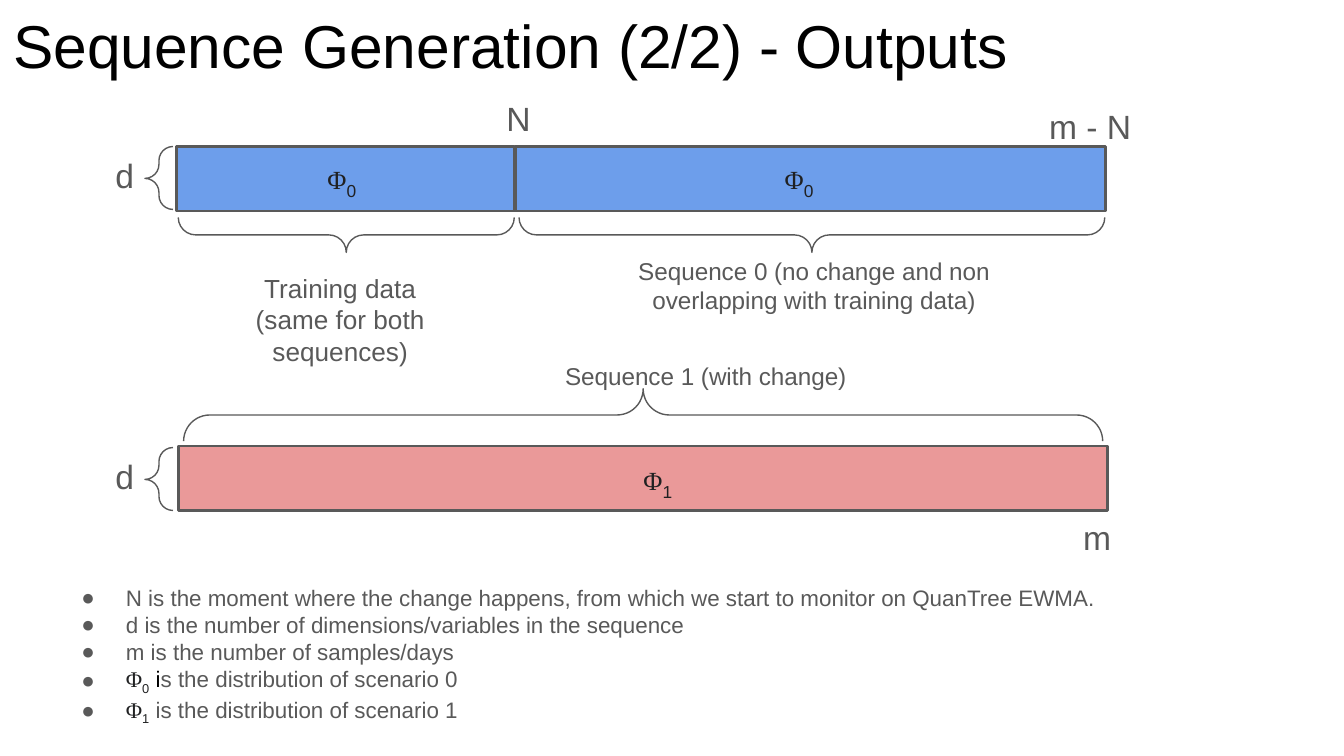
import pptx
import pptx.util
import pptx.dml.color
import pptx.enum.shapes
import pptx.enum.text
import pptx.oxml.ns
import lxml.etree

Cm = pptx.util.Cm
Pt = pptx.util.Pt
RGB = pptx.dml.color.RGBColor.from_string
Form = pptx.enum.shapes.MSO_SHAPE
Align = pptx.enum.text.PP_ALIGN
Anchor = pptx.enum.text.MSO_ANCHOR


class Theme:
    ink = "000000"
    gray = "595959"
    dark = "202122"
    blue = "6D9EEB"
    red = "EA9999"
    sans = "Arial"
    serif = "Times New Roman"
    title = 32.4
    label = 18
    sub = 16
    body = 14
    note = 13
    list = 12


class Deck:
    def __init__(self, theme):
        self.theme = theme
        self.file = pptx.Presentation()
        self.file.slide_width = Cm(25.4)
        self.file.slide_height = Cm(14.29)
        self.slide = self.file.slides.add_slide(self.file.slide_layouts[6])

    def put(self, item, values):
        for name, value in values.items():
            setattr(item, name, value)

    def run(self, para, text, size, color=None, font=None, low=False):
        run = para.add_run()
        run.text = text
        self.put(run.font, {"size": Pt(size), "name": font or self.theme.sans})
        run.font.color.rgb = RGB(color or self.theme.gray)
        if low:
            run._r.get_or_add_rPr().set("baseline", "-25000")

    def phi(self, para, digit, size, low):
        self.run(para, "Φ", size, self.theme.dark, self.theme.serif)
        self.run(para, digit, low, self.theme.dark, low=True)

    def frame(self, box, anchor=Anchor.TOP):
        frame = self.slide.shapes.add_textbox(*map(Cm, box)).text_frame
        pad = Cm(0.25)
        self.put(frame, {
            "word_wrap": True, "vertical_anchor": anchor,
            "margin_left": pad, "margin_right": pad,
            "margin_top": pad, "margin_bottom": pad,
        })
        return frame

    def text(self, box, lines, size, color=None, align=Align.LEFT, anchor=Anchor.TOP):
        frame = self.frame(box, anchor)
        for i, line in enumerate(lines):
            para = frame.add_paragraph() if i else frame.paragraphs[0]
            para.alignment = align
            self.run(para, line, size, color)

    def sign(self, left, top, digit):
        frame = self.frame((left, top, 1.17, 1.19))
        self.phi(frame.paragraphs[0], digit, self.theme.body, self.theme.sub)

    def shape(self, form, box, width):
        shape = self.slide.shapes.add_shape(form, *map(Cm, box))
        shape.shadow.inherit = False
        shape.line.color.rgb = RGB(self.theme.gray)
        shape.line.width = Pt(width)
        return shape

    def bar(self, box, color):
        shape = self.shape(Form.RECTANGLE, box, 1.5)
        shape.fill.solid()
        shape.fill.fore_color.rgb = RGB(color)

    def brace(self, box, turn=0, point=0.5):
        left, top, wide, high = box
        if turn:
            shift = (wide - high) / 2
            box = left + shift, top - shift, high, wide
        shape = self.shape(Form.LEFT_BRACE, box, 0.75)
        shape.fill.background()
        shape.rotation = turn
        shape.adjustments[0] = 0.5
        shape.adjustments[1] = point

    def bullet(self, para):
        props = para._p.get_or_add_pPr()
        props.set("marL", str(Cm(1.27)))
        props.set("indent", str(Cm(-0.84)))
        qn = pptx.oxml.ns.qn
        tint = lxml.etree.SubElement(props, qn("a:buClr"))
        lxml.etree.SubElement(tint, qn("a:srgbClr")).set("val", self.theme.gray)
        lxml.etree.SubElement(props, qn("a:buFont")).set("typeface", self.theme.sans)
        lxml.etree.SubElement(props, qn("a:buChar")).set("char", "●")

    def list(self, box, rows):
        frame = self.frame(box)
        size = self.theme.list
        for i, (digit, parts) in enumerate(rows):
            para = frame.add_paragraph() if i else frame.paragraphs[0]
            self.bullet(para)
            if digit:
                self.phi(para, digit, size, size)
            for text, color in parts:
                self.run(para, text, size, color)


def main():
    theme = Theme()
    deck = Deck(theme)
    gray = theme.gray
    deck.text((0, 0, 25.3, 1.78), ["Sequence Generation (2/2) - Outputs"],
              theme.title, theme.ink, anchor=Anchor.BOTTOM)

    deck.bar((3.33, 2.77, 6.4, 1.22), theme.blue)
    deck.bar((9.75, 2.77, 11.15, 1.22), theme.blue)
    deck.bar((3.38, 8.43, 17.55, 1.22), theme.red)

    for left, top, wide, text in [
        (9.32, 1.6, 1.02, "N"),
        (20.22, 9.53, 3.2, "m"),
        (19.58, 1.75, 2.69, "m - N"),
    ]:
        deck.text((left, top, wide, 0.56), [text], theme.label)

    for left, top, digit in [(5.94, 2.77, "0"), (14.58, 2.77, "0"), (11.91, 8.46, "1")]:
        deck.sign(left, top, digit)

    deck.brace((3.37, 4.11, 6.35, 0.66), 270)
    deck.brace((9.81, 4.11, 11.07, 0.66), 270)
    deck.brace((3.47, 7.35, 17.37, 0.99), 90)

    for box, lines, size in [
        ((3.38, 4.9, 6.1, 2.64), ["Training data", "(same for both sequences)"], theme.body),
        ((11.61, 4.6, 7.54, 1.19),
         ["Sequence 0 (no change and non overlapping with training data)"], theme.note),
        ((9.32, 6.58, 8.03, 0.99), ["Sequence 1 (with change)"], theme.note),
    ]:
        deck.text(box, lines, size, align=Align.CENTER)

    deck.list((0.86, 10.8, 24.43, 2.36), [
        ("", [("N is the moment where the change happens, from which we start "
               "to monitor on QuanTree EWMA.", gray)]),
        ("", [("d is the number of dimensions/variables in the sequence", gray)]),
        ("", [("m is the number of samples/days", gray)]),
        ("0", [(" i", theme.ink), ("s the distribution of scenario 0", gray)]),
        ("1", [(" is the distribution of scenario 1", gray)]),
    ])

    for top in (2.77, 8.46):
        deck.brace((2.74, top, 0.53, 1.19), point=0.507)
        deck.text((1.93, top - 0.09, 0.86, 1.04), ["d"], theme.label)

    deck.file.save("out.pptx")


if __name__ == "__main__":
    main()
